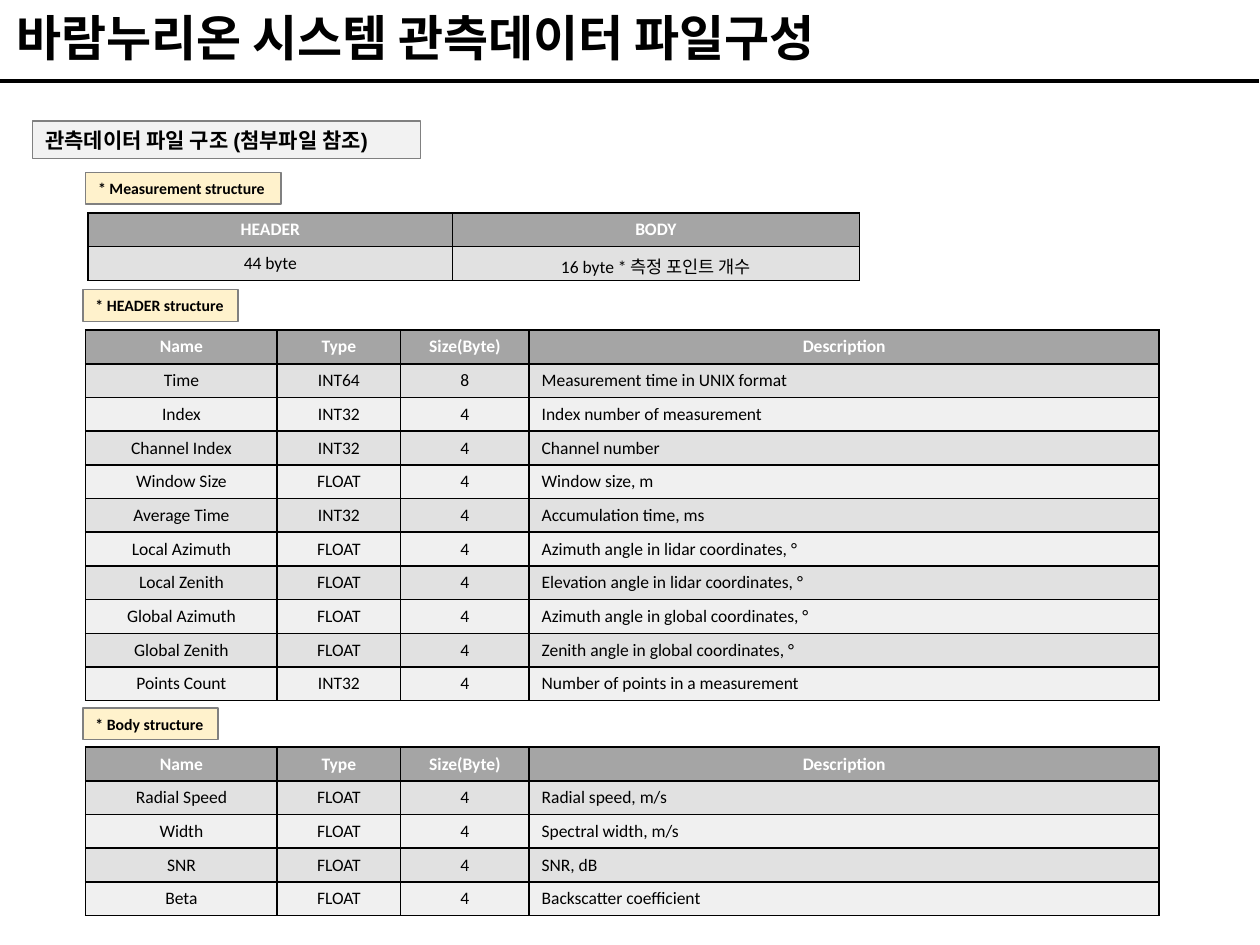
from dataclasses import dataclass

import pptx
import pptx.dml.color
import pptx.enum.shapes
import pptx.enum.text
import pptx.oxml
import pptx.oxml.ns
import pptx.slide
import pptx.table
import pptx.text.text
import pptx.util

Inches = pptx.util.Inches
Align = pptx.enum.text.PP_ALIGN
Anchor = pptx.enum.text.MSO_ANCHOR


@dataclass(frozen=True)
class Theme:
    font: str = "Calibri"
    heading_font: str = "Arial"
    black: str = "000000"
    white: str = "FFFFFF"
    outline: str = "808080"
    heading_fill: str = "F2F2F2"
    label_fill: str = "FFF2CC"
    header_fill: str = "A5A5A5"
    bands: tuple[str, str] = ("E1E1E1", "F0F0F0")
    title_size: float = 28
    heading_size: float = 12
    table_size: float = 10
    label_size: float = 9
    rule_width: float = 2.25
    outline_width: float = 0.75
    border_width: float = 1


@dataclass(frozen=True)
class Label:
    text: str
    left: float
    top: float
    width: float
    height: float = 0.25


@dataclass(frozen=True)
class Grid:
    left: float
    top: float
    height: float
    columns: tuple[float, ...]
    rows: tuple[tuple[str, ...], ...]


THEME = Theme()
FIELD_COLUMNS = (1.52, 0.98, 1.02, 5)
FIELD_HEADER = ("Name", "Type", "Size(Byte)", "Description")
DESCRIPTION_COLUMN = FIELD_HEADER.index("Description")

TITLE = "바람누리온 시스템 관측데이터 파일구성"
HEADING = Label("관측데이터 파일 구조 (첨부파일 참조)", 0.26, 0.96, 3.08, 0.3)
LABELS = (
    Label("* Measurement structure", 0.68, 1.37, 1.55),
    Label("* HEADER structure", 0.66, 2.3, 1.23),
    Label("* Body structure", 0.66, 5.62, 1.07),
)
GRIDS = (
    Grid(0.7, 1.69, 0.53, (2.89, 3.23), (
        ("HEADER", "BODY"),
        ("44 byte", "16 byte * 측정 포인트 개수"),
    )),
    Grid(0.68, 2.62, 2.93, FIELD_COLUMNS, (
        FIELD_HEADER,
        ("Time", "INT64", "8", "Measurement time in UNIX format"),
        ("Index", "INT32", "4", "Index number of measurement"),
        ("Channel Index", "INT32", "4", "Channel number"),
        ("Window Size", "FLOAT", "4", "Window size, m"),
        ("Average Time", "INT32", "4", "Accumulation time, ms"),
        ("Local Azimuth", "FLOAT", "4", "Azimuth angle in lidar coordinates, °"),
        ("Local Zenith", "FLOAT", "4", "Elevation angle in lidar coordinates, °"),
        ("Global Azimuth", "FLOAT", "4", "Azimuth angle in global coordinates, °"),
        ("Global Zenith", "FLOAT", "4", "Zenith angle in global coordinates, °"),
        ("Points Count", "INT32", "4", "Number of points in a measurement"),
    )),
    Grid(0.68, 5.93, 1.33, FIELD_COLUMNS, (
        FIELD_HEADER,
        ("Radial Speed", "FLOAT", "4", "Radial speed, m/s"),
        ("Width", "FLOAT", "4", "Spectral width, m/s"),
        ("SNR", "FLOAT", "4", "SNR, dB"),
        ("Beta", "FLOAT", "4", "Backscatter coefficient"),
    )),
)


def rgb(color: str) -> pptx.dml.color.RGBColor:
    return pptx.dml.color.RGBColor.from_string(color)


def write(frame: pptx.text.text.TextFrame, text: str, size: float, bold: bool = True,
          color: str = THEME.black, font: str = THEME.font,
          align: Align = Align.LEFT) -> None:
    """Fill the frame with one paragraph in one style."""
    para = frame.paragraphs[0]
    para.text = text
    para.alignment = align
    para.font.name = font
    para.font.size = pptx.util.Pt(size)
    para.font.bold = bold
    para.font.color.rgb = rgb(color)


def draw_title(page: pptx.slide.Slide, text: str) -> None:
    """Draw the title and the rule below it."""
    rule = page.shapes.add_connector(pptx.enum.shapes.MSO_CONNECTOR.STRAIGHT,
                                     Inches(0), Inches(0.64), Inches(9.99), Inches(0.64))
    rule.line.color.rgb = rgb(THEME.black)
    rule.line.width = pptx.util.Pt(THEME.rule_width)
    rule._element.spPr.append(pptx.oxml.parse_xml(
        f'<a:effectLst {pptx.oxml.ns.nsdecls("a")}/>'))

    box = page.shapes.add_textbox(Inches(0.03), Inches(0.03), Inches(9.93), Inches(0.55))
    box.text_frame.word_wrap = True
    box.text_frame.vertical_anchor = Anchor.BOTTOM
    write(box.text_frame, text, THEME.title_size)
    box.text_frame.paragraphs[0].line_spacing = 0.9


def draw_label(page: pptx.slide.Slide, label: Label, fill: str, size: float,
               font: str, wrap: bool) -> None:
    box = page.shapes.add_shape(pptx.enum.shapes.MSO_SHAPE.RECTANGLE,
                                Inches(label.left), Inches(label.top),
                                Inches(label.width), Inches(label.height))
    box.shadow.inherit = False
    box.fill.solid()
    box.fill.fore_color.rgb = rgb(fill)
    box.line.color.rgb = rgb(THEME.outline)
    box.line.width = pptx.util.Pt(THEME.outline_width)
    frame = box.text_frame
    frame.word_wrap = wrap
    frame.auto_size = pptx.enum.text.MSO_AUTO_SIZE.SHAPE_TO_FIT_TEXT
    frame.vertical_anchor = Anchor.TOP
    write(frame, label.text, size, font=font)


def style_cell(cell: pptx.table._Cell, fill: str) -> None:
    """Give the cell its borders, then its fill, in schema order."""
    properties = cell._tc.get_or_add_tcPr()
    width = pptx.util.Pt(THEME.border_width)
    for side in ("lnL", "lnR", "lnT", "lnB"):
        properties.append(pptx.oxml.parse_xml(
            f'<a:{side} {pptx.oxml.ns.nsdecls("a")} w="{width}"><a:solidFill>'
            f'<a:srgbClr val="{THEME.black}"/></a:solidFill></a:{side}>'))
    cell.fill.solid()
    cell.fill.fore_color.rgb = rgb(fill)


def draw_grid(page: pptx.slide.Slide, grid: Grid) -> None:
    table = page.shapes.add_table(len(grid.rows), len(grid.columns),
                                  Inches(grid.left), Inches(grid.top),
                                  Inches(sum(grid.columns)), Inches(grid.height)).table
    for column, width in zip(table.columns, grid.columns):
        column.width = Inches(width)
    for row_index, row in enumerate(grid.rows):
        is_header = row_index == 0
        fill = THEME.header_fill if is_header else THEME.bands[(row_index - 1) % 2]
        for column_index, text in enumerate(row):
            cell = table.cell(row_index, column_index)
            style_cell(cell, fill)
            is_description = column_index == DESCRIPTION_COLUMN and not is_header
            write(cell.text_frame, text, THEME.table_size, bold=is_header,
                  color=THEME.white if is_header else THEME.black,
                  align=Align.LEFT if is_description else Align.CENTER)


def main() -> None:
    deck = pptx.Presentation()
    deck.slide_width, deck.slide_height = Inches(10), Inches(7.5)
    page = deck.slides.add_slide(deck.slide_layouts[6])
    draw_title(page, TITLE)
    draw_label(page, HEADING, THEME.heading_fill, THEME.heading_size,
               THEME.heading_font, wrap=True)
    for grid, label in zip(GRIDS, LABELS):
        draw_grid(page, grid)
        draw_label(page, label, THEME.label_fill, THEME.label_size, THEME.font, wrap=False)
    deck.save("out.pptx")


if __name__ == "__main__":
    main()
